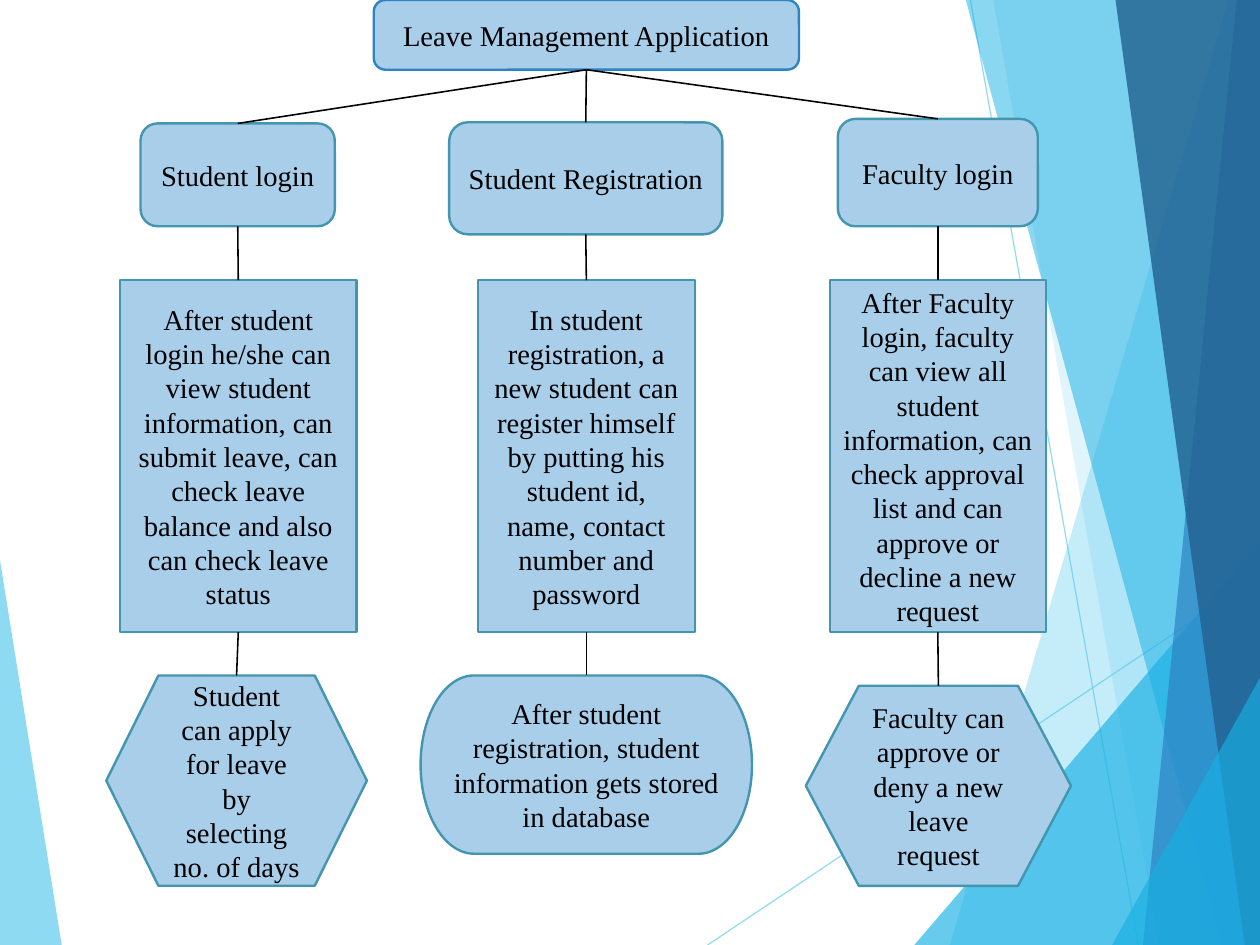
import pptx
import pptx.util
import pptx.dml.color
import pptx.enum.shapes
import pptx.enum.text
import pptx.oxml

SLIDE_WIDTH, SLIDE_HEIGHT = pptx.util.Cm(28), pptx.util.Cm(21)
W, H = SLIDE_WIDTH.inches, SLIDE_HEIGHT.inches
FONT, TEXT_SIZE = "Times New Roman", 18
BOX_FILL, BOX_LINE, ROOT_LINE, INK = "A8CEEA", "4495B0", "2E83C3", "000000"
SKY, CYAN, BLUE, NAVY = "5FCBEF", "17B0E4", "2E83C3", "236292"

# Background: (colour, opacity %, corner points); two points make a line
BACKDROP = [
    (SKY, 70, [(0, 4.9), (0.54, H), (0, H)]),
    (SKY, 70, [(6.19, H), (W, 5.04)]),
    (SKY, 70, [(8.49, 0), (9.96, H)]),
    (SKY, 36, [(10.75, 0), (8.31, H), (W, H), (W, 0)]),
    (SKY, 20, [(8.69, 0), (10.14, H), (W, H), (W, 0)]),
    (CYAN, 65, [(8, H), (W, 4.74), (W, H)]),
    (CYAN, 50, [(8.45, 0), (10.69, H), (W, H), (W, 0)]),
    (BLUE, 70, [(10.82, 0), (10, H), (W, H), (W, 0)]),
    (NAVY, 82, [(9.76, 0), (10.89, H), (W, H), (W, 0)]),
    (CYAN, 65, [(9.73, H), (W, 5.93), (W, H)]),
]

KIND = pptx.enum.shapes.MSO_SHAPE
ROUND, RECT = KIND.ROUNDED_RECTANGLE, KIND.RECTANGLE
HEXAGON, PILL = KIND.FLOWCHART_PREPARATION, KIND.FLOWCHART_TERMINATOR
TOP_SITE, BOTTOM_SITE = 0, 2

DETAIL_TOP, DETAIL_HEIGHT = 2.45, 3.08

# Box: (kind, left, top, width, height, text)
ROOT = (ROUND, 3.27, 0, 3.72, 0.61, "Leave Management Application")

# Each column holds its boxes from top to bottom
COLUMNS = [
    [
        (ROUND, 1.23, 1.08, 1.7, 0.9, "Student login"),
        (RECT, 1.05, DETAIL_TOP, 2.07, DETAIL_HEIGHT,
         "After student login he/she can view student information, can submit "
         "leave, can check leave balance and also can check leave status"),
        (HEXAGON, 0.93, 5.91, 2.28, 1.84,
         "Student can apply for leave by selecting no. of days"),
    ],
    [
        (ROUND, 3.93, 1.07, 2.39, 0.98, "Student Registration"),
        (RECT, 4.18, DETAIL_TOP, 1.9, DETAIL_HEIGHT,
         "In student registration, a new student can register himself by "
         "putting his student id, name, contact number and password"),
        (PILL, 3.68, 5.91, 2.9, 1.56,
         "After student registration, student information gets stored in database"),
    ],
    [
        (ROUND, 7.33, 1.04, 1.75, 0.94, "Faculty login"),
        (RECT, 7.26, DETAIL_TOP, 1.89, DETAIL_HEIGHT,
         "After Faculty login, faculty can view all student information, can "
         "check approval list and can approve or decline a new request"),
        (HEXAGON, 7.05, 6, 2.32, 1.75,
         "Faculty can approve or deny a new leave request"),
    ],
]


def inch(value):
    return pptx.util.Inches(value)


def rgb(colour):
    return pptx.dml.color.RGBColor.from_string(colour)


def set_opacity(sp, percent):
    for clr in sp.element.iter(pptx.oxml.ns.qn("a:srgbClr")):
        alpha = clr.makeelement(pptx.oxml.ns.qn("a:alpha"), {"val": str(percent * 1000)})
        clr.append(alpha)


def add_line(shapes, start, end, colour, width):
    line = shapes.add_connector(
        pptx.enum.shapes.MSO_CONNECTOR.STRAIGHT, *map(inch, (*start, *end)))
    line.line.color.rgb = rgb(colour)
    line.line.width = pptx.util.Pt(width)
    sp_pr = line.element.spPr
    sp_pr.append(sp_pr.makeelement(pptx.oxml.ns.qn("a:effectLst"), {}))
    return line


def add_facet(shapes, points, colour):
    corners = [(inch(x), inch(y)) for x, y in points]
    builder = shapes.build_freeform(*corners[0])
    builder.add_line_segments(corners[1:], close=True)
    sp = builder.convert_to_shape()
    sp.shadow.inherit = False
    sp.fill.solid()
    sp.fill.fore_color.rgb = rgb(colour)
    sp.line.fill.background()
    return sp


def add_box(shapes, box, outline=BOX_LINE):
    kind, *frame, text = box
    sp = shapes.add_shape(kind, *map(inch, frame))
    sp.shadow.inherit = False
    sp.fill.solid()
    sp.fill.fore_color.rgb = rgb(BOX_FILL)
    sp.line.color.rgb = rgb(outline)
    sp.line.width = pptx.util.Pt(1.5)
    tf = sp.text_frame
    tf.word_wrap = True
    tf.vertical_anchor = pptx.enum.text.MSO_ANCHOR.MIDDLE
    tf.text = text
    p = tf.paragraphs[0]
    p.alignment = pptx.enum.text.PP_ALIGN.CENTER
    font = p.runs[0].font
    font.name, font.size = FONT, pptx.util.Pt(TEXT_SIZE)
    font.color.rgb = rgb(INK)
    return sp


def link(shapes, upper, lower):
    line = add_line(shapes, (0, 0), (1, 1), INK, 1)
    line.begin_connect(upper, BOTTOM_SITE)
    line.end_connect(lower, TOP_SITE)


def main():
    prs = pptx.Presentation()
    prs.slide_width, prs.slide_height = SLIDE_WIDTH, SLIDE_HEIGHT
    shapes = prs.slides.add_slide(prs.slide_layouts[6]).shapes

    for colour, opacity, points in BACKDROP:
        if len(points) == 2:
            sp = add_line(shapes, *points, colour, 0.75)
        else:
            sp = add_facet(shapes, points, colour)
        set_opacity(sp, opacity)

    root = add_box(shapes, ROOT, ROOT_LINE)
    for boxes in COLUMNS:
        upper = root
        for box in boxes:
            lower = add_box(shapes, box)
            link(shapes, upper, lower)
            upper = lower

    prs.save("out.pptx")


if __name__ == "__main__":
    main()
